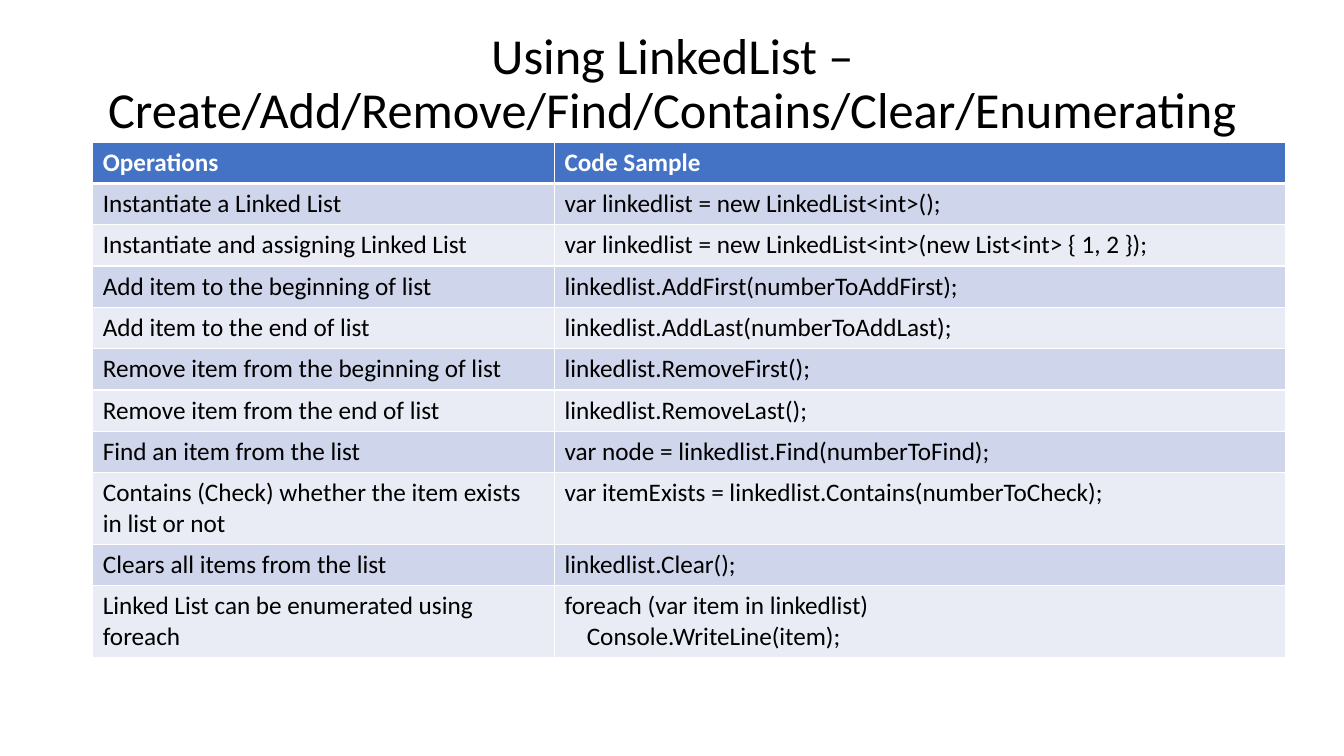
from lxml.etree import SubElement
from pptx import Presentation
from pptx.dml.color import RGBColor
from pptx.enum.text import MSO_ANCHOR, MSO_AUTO_SIZE, PP_ALIGN
from pptx.oxml.ns import qn
from pptx.util import Inches, Pt

FONT = "Calibri"
BLACK = RGBColor(0x00, 0x00, 0x00)
WHITE = RGBColor(0xFF, 0xFF, 0xFF)
HEADER_BLUE = RGBColor(0x44, 0x72, 0xC4)
BANDS = (RGBColor(0xCF, 0xD5, 0xEA), RGBColor(0xE9, 0xEB, 0xF5))

TITLE = "Using LinkedList – Create/Add/Remove/Find/Contains/Clear/Enumerating"
HEADINGS = ("Operations", "Code Sample")
OPERATIONS = [
    ("Instantiate a Linked List", "var linkedlist = new LinkedList<int>();"),
    ("Instantiate and assigning Linked List",
     "var linkedlist = new LinkedList<int>(new List<int> { 1, 2 });"),
    ("Add item to the beginning of list", "linkedlist.AddFirst(numberToAddFirst);"),
    ("Add item to the end of list", "linkedlist.AddLast(numberToAddLast);"),
    ("Remove item from the beginning of list", "linkedlist.RemoveFirst();"),
    ("Remove item from the end of list", "linkedlist.RemoveLast();"),
    ("Find an item from the list", "var node = linkedlist.Find(numberToFind);"),
    ("Contains (Check) whether the item exists in list or not",
     "var itemExists = linkedlist.Contains(numberToCheck);"),
    ("Clears all items from the list", "linkedlist.Clear();"),
    ("Linked List can be enumerated using foreach",
     "foreach (var item in linkedlist)\nConsole.WriteLine(item);"),
]
COLUMN_WIDTHS = (4.58, 7.25)
ROW_HEIGHT, TALL_ROW_HEIGHT = 0.41, 0.71
TALL_ROWS = (8, 10)
CODE_INDENT = Inches(0.22)


def write_text(frame, text, size=18, color=BLACK, bold=False,
               align=PP_ALIGN.LEFT, line_spacing=None, indent=0):
    """Write one paragraph per line, indenting the lines after the first."""
    for number, line in enumerate(text.split("\n")):
        paragraph = frame.add_paragraph() if number else frame.paragraphs[0]
        paragraph.alignment = align
        paragraph.line_spacing = line_spacing
        if number:
            paragraph._p.get_or_add_pPr().set("marL", str(indent))
        run = paragraph.add_run()
        run.text = line
        run.font.name = FONT
        run.font.size = Pt(size)
        run.font.bold = bold
        run.font.color.rgb = color


def set_borders(cell, top=1, bottom=1):
    """Draw white borders of the given point widths around a cell."""
    properties = cell._tc.get_or_add_tcPr()
    sides = (("a:lnL", 1), ("a:lnR", 1), ("a:lnT", top), ("a:lnB", bottom))
    for position, (side, width) in enumerate(sides):
        border = SubElement(properties, qn(side), w=str(Pt(width)))
        fill = SubElement(border, qn("a:solidFill"))
        SubElement(fill, qn("a:srgbClr"), val=str(WHITE))
        properties.insert(position, border)


def add_title(slide):
    """Place and format the slide title."""
    title = slide.shapes.title
    title.left, title.top = Inches(0.92), Inches(0.4)
    title.width, title.height = Inches(11.5), Inches(0.89)
    frame = title.text_frame
    frame.word_wrap = True
    frame.auto_size = MSO_AUTO_SIZE.NONE
    frame.vertical_anchor = MSO_ANCHOR.MIDDLE
    write_text(frame, TITLE, size=36, align=PP_ALIGN.CENTER, line_spacing=0.9)


def add_operations_table(slide):
    """Add the banded table of operations and their code."""
    entries = [HEADINGS] + OPERATIONS
    heights = [TALL_ROW_HEIGHT if number in TALL_ROWS else ROW_HEIGHT
               for number in range(len(entries))]
    table = slide.shapes.add_table(
        len(entries), len(HEADINGS), Inches(0.92), Inches(1.41),
        Inches(sum(COLUMN_WIDTHS)), Inches(sum(heights))).table
    for column, width in zip(table.columns, COLUMN_WIDTHS):
        column.width = Inches(width)
    for number, (entry, height) in enumerate(zip(entries, heights)):
        table.rows[number].height = Inches(height)
        is_header = number == 0
        for column, text in enumerate(entry):
            cell = table.cell(number, column)
            cell.fill.solid()
            cell.fill.fore_color.rgb = HEADER_BLUE if is_header else BANDS[(number - 1) % 2]
            set_borders(cell, top=3 if number == 1 else 1, bottom=3 if is_header else 1)
            write_text(cell.text_frame, text, color=WHITE if is_header else BLACK,
                       bold=is_header, indent=CODE_INDENT)


def main():
    """Build and save the slide."""
    presentation = Presentation()
    presentation.slide_width = Inches(13.33)
    presentation.slide_height = Inches(7.5)
    slide = presentation.slides.add_slide(presentation.slide_layouts[5])
    add_title(slide)
    add_operations_table(slide)
    presentation.save("out.pptx")


main()
